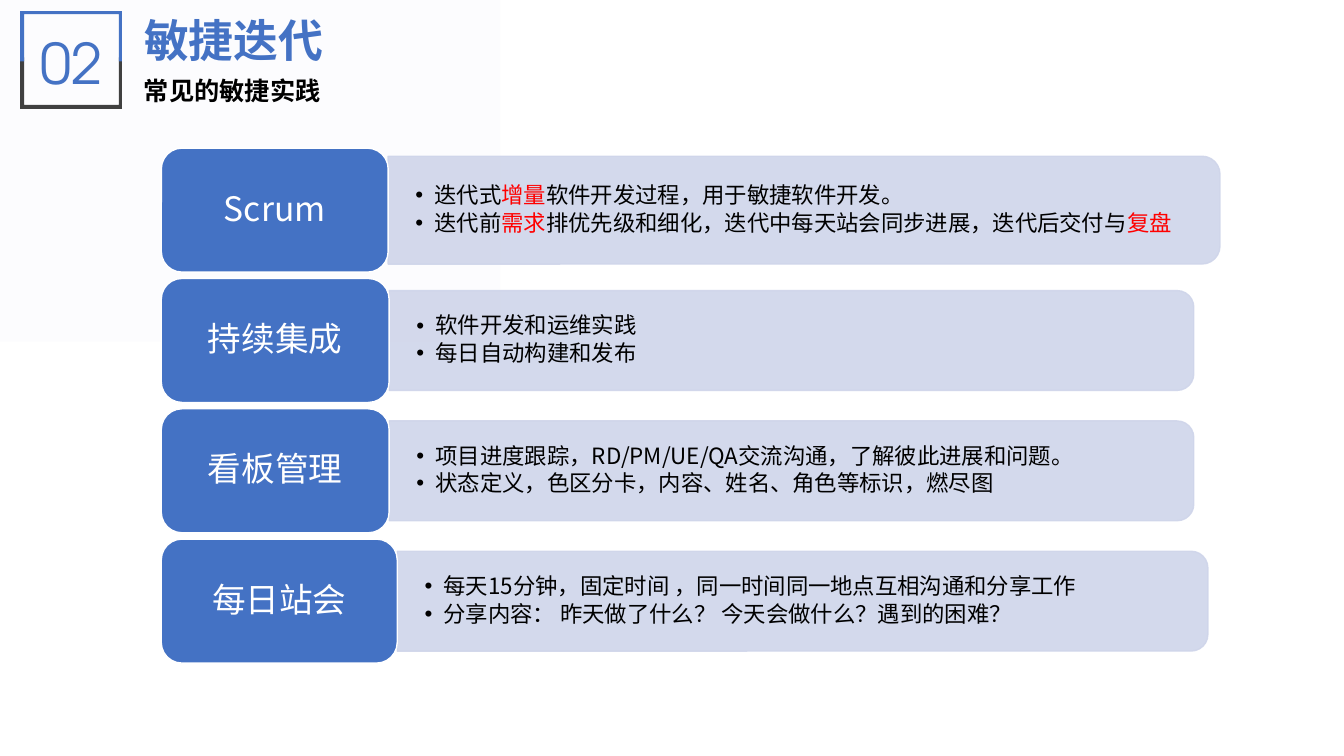
from lxml import etree
from pptx import Presentation
from pptx.dml.color import RGBColor
from pptx.enum.shapes import MSO_SHAPE as Shape
from pptx.enum.text import MSO_ANCHOR as Anchor, MSO_AUTO_SIZE as AutoSize, PP_ALIGN as Align
from pptx.oxml.ns import qn
from pptx.util import Inches, Pt

BLUE = RGBColor(0x44, 0x72, 0xC4)
PALE_BLUE = RGBColor(0xCF, 0xD5, 0xEA)
CORNER_TINT = RGBColor(0xFC, 0xFC, 0xFE)
DARK_GREY = RGBColor(0x40, 0x40, 0x40)
RED = RGBColor(0xFF, 0, 0)
BLACK = RGBColor(0, 0, 0)
WHITE = RGBColor(0xFF, 0xFF, 0xFF)
CJK = "Noto Sans CJK SC"
NUMERAL = "TeX Gyre Adventor"

SECTION = "02"
TITLE = "敏捷迭代"
SUBTITLE = "常见的敏捷实践"
PRACTICES = [
    ("Scrum", 2.25, 8.25, 1.07, [
        [("迭代式", BLACK), ("增量", RED), ("软件开发过程，用于敏捷软件开发。", BLACK)],
        [("迭代前", BLACK), ("需求", RED),
         ("排优先级和细化，迭代中每天站会同步进展，迭代后交付与", BLACK), ("复盘", RED)],
    ]),
    ("持续集成", 2.26, 7.98, 0.99, [
        [("软件开发和运维实践", BLACK)],
        [("每日自动构建和发布", BLACK)],
    ]),
    ("看板管理", 2.26, 7.98, 0.99, [
        [("项目进度跟踪，RD/PM/UE/QA交流沟通，了解彼此进展和问题。", BLACK)],
        [("状态定义，色区分卡，内容、姓名、角色等标识，燃尽图", BLACK)],
    ]),
    ("每日站会", 2.34, 8.04, 0.99, [
        [("每天15分钟，固定时间 ，同一时间同一地点互相沟通和分享工作", BLACK)],
        [("分享内容： 昨天做了什么？ 今天会做什么？遇到的困难？", BLACK)],
    ]),
]
BRACKETS = [(DARK_GREY, 0.57, 1.04, 1.08), (BLUE, 0.61, 0.14, 0.11)]
LABEL_LEFT, LABEL_TOP, LABEL_HEIGHT, ROW_PITCH = 1.6, 1.47, 1.23, 1.293


def add_run(paragraph, text, size, color, font=CJK, bold=False):
    """Append one styled run."""
    run = paragraph.add_run()
    run.text = text
    run.font.size, run.font.bold, run.font.name = Pt(size), bold, font
    run.font.color.rgb = color
    etree.SubElement(run.font._element, qn("a:ea"), typeface=font)


def set_space_after(paragraph, percent):
    """Set the space after a paragraph as a share of its line."""
    spacing = etree.SubElement(paragraph._p.get_or_add_pPr(), qn("a:spcAft"))
    etree.SubElement(spacing, qn("a:spcPct"), val=str(percent * 1000))


def add_bullet(paragraph):
    """Give a paragraph a hanging round bullet."""
    properties = paragraph._p.get_or_add_pPr()
    properties.set("marL", str(Inches(0.19)))
    properties.set("indent", str(Inches(-0.19)))
    etree.SubElement(properties, qn("a:buFont"), typeface="Arial")
    etree.SubElement(properties, qn("a:buChar"), char="•")


def add_block(slide, preset, left, top, width, height, fill, line=None):
    """Add a flat filled shape."""
    block = slide.shapes.add_shape(
        preset, Inches(left), Inches(top), Inches(width), Inches(height))
    block.shadow.inherit = False
    block.fill.solid()
    block.fill.fore_color.rgb = fill
    if line is None:
        block.line.fill.background()
    else:
        block.line.color.rgb = line
        block.line.width = Pt(1)
    return block


def add_text_area(slide, left, top, width, height):
    """Add a wrapping text box and return its frame."""
    area = slide.shapes.add_textbox(
        Inches(left), Inches(top), Inches(width), Inches(height))
    area.text_frame.word_wrap = True
    return area.text_frame


def add_bracket(slide, color, tip, inner, outer):
    """Draw one half of the section number frame."""
    points = [(0.2, tip), (0.24, tip), (0.24, inner), (1.18, inner),
              (1.18, tip), (1.21, tip), (1.21, outer), (0.2, outer)]
    corners = [(Inches(x), Inches(y)) for x, y in points]
    builder = slide.shapes.build_freeform(*corners[0])
    builder.add_line_segments(corners[1:], close=True)
    bracket = builder.convert_to_shape()
    bracket.shadow.inherit = False
    bracket.fill.solid()
    bracket.fill.fore_color.rgb = color
    bracket.line.fill.background()


def add_header(slide):
    """Add the section number, title and subtitle."""
    add_block(slide, Shape.RECTANGLE, 0, 0, 4.96, 3.39, CORNER_TINT)
    for bracket in BRACKETS:
        add_bracket(slide, *bracket)
    number = add_text_area(slide, 0.2, 0.23, 1.01, 0.77).paragraphs[0]
    number.alignment = Align.CENTER
    add_run(number, SECTION, 40, BLUE, NUMERAL)

    title = slide.shapes.title
    slide.shapes._spTree.append(title._element)
    title.left, title.top = Inches(1.33), Inches(0.08)
    title.width, title.height = Inches(2), Inches(0.64)
    frame = title.text_frame
    frame.word_wrap, frame.auto_size = False, AutoSize.NONE
    frame.vertical_anchor = Anchor.TOP
    frame.paragraphs[0].alignment = Align.LEFT
    add_run(frame.paragraphs[0], TITLE, 32, BLUE, bold=True)

    subtitle = add_text_area(slide, 1.33, 0.66, 7.77, 0.42).paragraphs[0]
    subtitle.line_spacing = 1.14
    add_run(subtitle, SUBTITLE, 18, BLACK, bold=True)


def add_practice(slide, row, name, label_width, panel_width, panel_height, points):
    """Add one label with its panel of bullet points."""
    top = LABEL_TOP + row * ROW_PITCH
    middle = top + LABEL_HEIGHT / 2
    panel_left = LABEL_LEFT + label_width
    panel = add_block(
        slide, Shape.ROUND_2_SAME_RECTANGLE,
        panel_left + (panel_width - panel_height) / 2, middle - panel_width / 2,
        panel_height, panel_width, PALE_BLUE, PALE_BLUE)
    panel.rotation = 90
    for color in panel._element.spPr.iter(qn("a:srgbClr")):
        etree.SubElement(color, qn("a:alpha"), val="90000")

    text_height = panel_height - 0.1
    frame = add_text_area(slide, panel_left, middle - text_height / 2,
                          panel_width - 0.05, text_height)
    frame.vertical_anchor = Anchor.MIDDLE
    frame.margin_left = frame.margin_right = Inches(0.27)
    frame.margin_top = frame.margin_bottom = Inches(0.14)
    for index, point in enumerate(points):
        paragraph = frame.add_paragraph() if index else frame.paragraphs[0]
        set_space_after(paragraph, 15)
        add_bullet(paragraph)
        paragraph.level = 1
        paragraph.line_spacing = 0.9
        for text, color in point:
            add_run(paragraph, text, 16, color)

    label = add_block(slide, Shape.ROUNDED_RECTANGLE, LABEL_LEFT, top,
                      label_width, LABEL_HEIGHT, BLUE, WHITE)
    label.text_frame.vertical_anchor = Anchor.MIDDLE
    caption = label.text_frame.paragraphs[0]
    set_space_after(caption, 35)
    caption.alignment = Align.CENTER
    caption.line_spacing = 0.9
    add_run(caption, name, 24, WHITE)


def main():
    """Build the slide and save it."""
    deck = Presentation()
    deck.slide_width, deck.slide_height = Inches(13.33), Inches(7.5)
    slide = deck.slides.add_slide(deck.slide_layouts[5])
    add_header(slide)
    for row, practice in enumerate(PRACTICES):
        add_practice(slide, row, *practice)
    deck.save("out.pptx")


if __name__ == "__main__":
    main()
